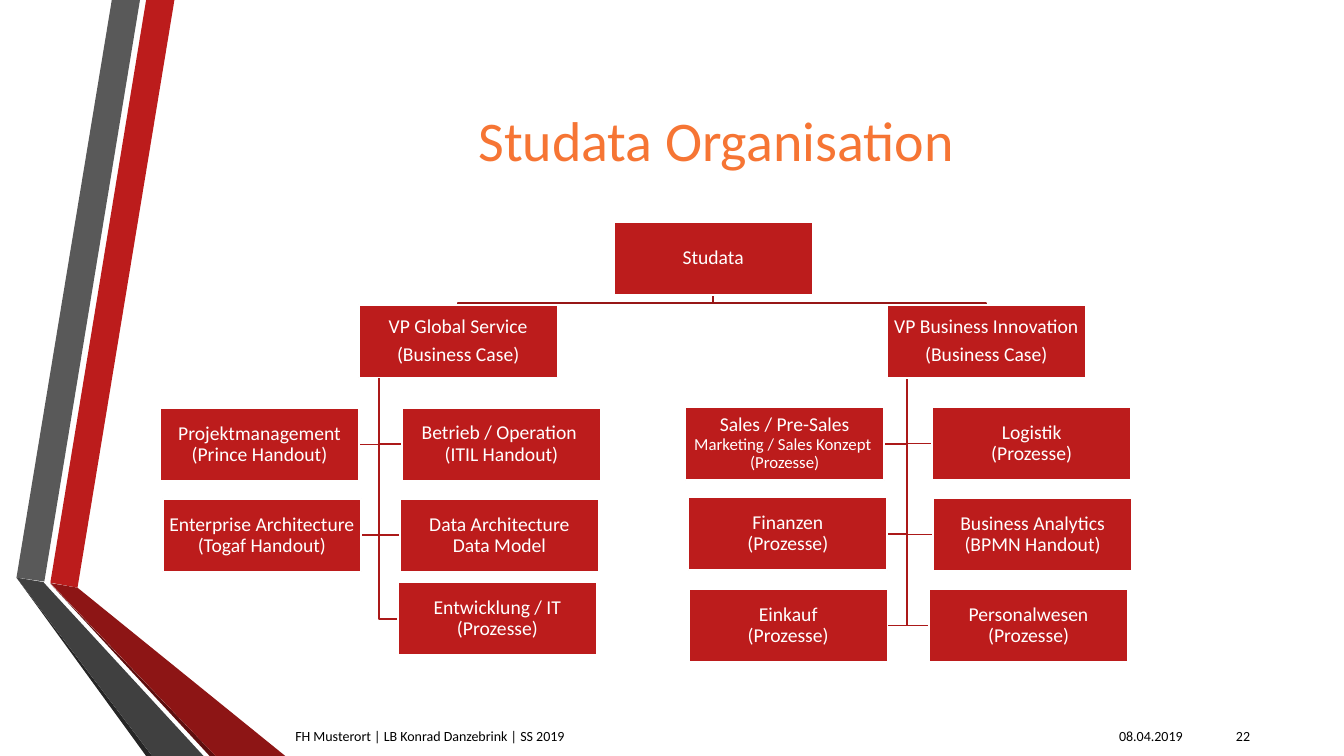
from dataclasses import dataclass

from pptx import Presentation
from pptx.dml.color import RGBColor
from pptx.enum.shapes import MSO_SHAPE
from pptx.enum.text import MSO_ANCHOR, PP_ALIGN
from pptx.util import Pt

RECTANGLE = MSO_SHAPE.RECTANGLE
MIDDLE = MSO_ANCHOR.MIDDLE
LEFT, CENTER, RIGHT = PP_ALIGN.LEFT, PP_ALIGN.CENTER, PP_ALIGN.RIGHT

FONT = "Calibri"
RED, WHITE, BLACK, ORANGE = "BC1C1C", "FFFFFF", "000000", "F67534"
BAR_RED, TRUNK_RED = "971616", "AB1919"
BOX_WIDTH, BOX_HEIGHT = 141.9, 51.9
LINE_WIDTH = 1.25
BAR_Y = 216.2

Point = tuple[float, float]


@dataclass
class Unit:
    left: float
    top: float
    lines: list[str]
    sizes: tuple[int, ...] = (14, 14)
    gap: float = 0

    @property
    def center_x(self) -> float:
        return self.left + BOX_WIDTH / 2

    @property
    def center_y(self) -> float:
        return self.top + BOX_HEIGHT / 2

    @property
    def bottom(self) -> float:
        return self.top + BOX_HEIGHT


@dataclass
class Branch:
    head: Unit
    trunk_x: float
    children: list[Unit]


@dataclass
class Ribbon:
    color: str
    points: list[Point]


@dataclass
class Footer:
    left: float
    width: float
    text: str
    align: PP_ALIGN


RIBBONS = [
    Ribbon(RED, [(36, 416.2), (55.4, 419.8), (124.6, 0), (104.4, 0)]),
    Ribbon("595959", [(100, 0), (79.9, 0), (11.8, 412.6), (31.7, 415.4)]),
    Ribbon("262626", [(11.8, 412.6), (104.4, 540), (108.7, 540)]),
    Ribbon("5E0E0E", [(36, 416.9), (149.8, 540), (154.1, 540)]),
    Ribbon("8D1515", [(36, 416.5), (154.1, 540), (203.8, 540), (55.4, 419.8)]),
    Ribbon("404040", [(145.4, 540), (34.6, 419.8), (31, 415.8), (11.8, 412.6), (108.7, 540)]),
]

ROOT = Unit(438.5, 158.6, ["Studata"])

BRANCHES = [
    Branch(
        Unit(256.4, 217.8, ["VP Global Service", "(Business Case)"], gap=4.9),
        270.7,
        [
            Unit(114.5, 291.6, ["Projektmanagement", "(Prince Handout)"]),
            Unit(287.3, 291.3, ["Betrieb / Operation ", "(ITIL Handout)"]),
            Unit(116.2, 356.4, ["Enterprise Architecture", "(Togaf Handout)"]),
            Unit(285.8, 356.4, ["Data Architecture", "Data Model"]),
            Unit(284.4, 416, ["Entwicklung / IT", "(Prozesse)"]),
        ],
    ),
    Branch(
        Unit(633.6, 218, ["VP Business Innovation", "(Business Case)"], gap=4.9),
        648,
        [
            Unit(489.6, 291, ["Sales / Pre-Sales", "Marketing / Sales Konzept ", "(Prozesse)"],
                 sizes=(14, 12, 12)),
            Unit(666, 290.9, ["Logistik", "(Prozesse)"]),
            Unit(491.8, 355.4, ["Finanzen", "(Prozesse)"]),
            Unit(666.7, 355.9, ["Business Analytics", "(BPMN Handout)"]),
            Unit(492.1, 420.8, ["Einkauf", "(Prozesse)"]),
            Unit(663.8, 420.9, ["Personalwesen", "(Prozesse)"]),
        ],
    ),
]

FOOTERS = [
    Footer(761.8, 90, "08.04.2019", RIGHT),
    Footer(203.8, 558, "FH Musterort | LB Konrad Danzebrink | SS 2019", LEFT),
    Footer(856.8, 43.2, "22", RIGHT),
]


def rgb(color: str) -> RGBColor:
    return RGBColor.from_string(color)


def format_paragraph(para, text: str, size: float, color: str, align: PP_ALIGN) -> None:
    para.text = text
    para.alignment = align
    para.font.name = FONT
    para.font.size = Pt(size)
    para.font.color.rgb = rgb(color)


def add_outline(page, points: list[Point], close: bool):
    corners = [(Pt(x), Pt(y)) for x, y in points]
    builder = page.shapes.build_freeform(*corners[0])
    builder.add_line_segments(corners[1:], close=close)
    shape = builder.convert_to_shape()
    shape.shadow.inherit = False
    return shape


def add_ribbon(page, ribbon: Ribbon) -> None:
    shape = add_outline(page, ribbon.points, close=True)
    shape.fill.solid()
    shape.fill.fore_color.rgb = rgb(ribbon.color)
    shape.line.fill.background()


def add_elbow(page, color: str, points: list[Point]) -> None:
    """Draw an open, angled line from a box to one below it."""
    shape = add_outline(page, points, close=False)
    shape.fill.background()
    shape.line.color.rgb = rgb(color)
    shape.line.width = Pt(LINE_WIDTH)


def add_title(page, text: str) -> None:
    title = page.shapes.title
    title.left, title.top, title.width, title.height = Pt(116.9), Pt(54), Pt(789.1), Pt(90)
    title.text_frame.vertical_anchor = MIDDLE
    format_paragraph(title.text_frame.paragraphs[0], text, 40, ORANGE, CENTER)


def add_footer(page, footer: Footer) -> None:
    box = page.shapes.add_textbox(Pt(footer.left), Pt(511.2), Pt(footer.width), Pt(28.8))
    frame = box.text_frame
    frame.word_wrap = True
    frame.vertical_anchor = MIDDLE
    format_paragraph(frame.paragraphs[0], footer.text, 10, BLACK, footer.align)


def add_unit(page, unit: Unit) -> None:
    box = page.shapes.add_shape(
        RECTANGLE, Pt(unit.left), Pt(unit.top), Pt(BOX_WIDTH), Pt(BOX_HEIGHT))
    box.shadow.inherit = False
    box.fill.solid()
    box.fill.fore_color.rgb = rgb(RED)
    box.line.color.rgb = rgb(WHITE)
    box.line.width = Pt(LINE_WIDTH)
    frame = box.text_frame
    frame.word_wrap = True
    frame.vertical_anchor = MIDDLE
    frame.margin_left = frame.margin_right = frame.margin_top = frame.margin_bottom = Pt(0.7)
    for index, (text, size) in enumerate(zip(unit.lines, unit.sizes)):
        para = frame.add_paragraph() if index else frame.paragraphs[0]
        format_paragraph(para, text, size, WHITE, CENTER)
        para.line_spacing = 0.9
        para.space_after = Pt(unit.gap)


def add_branch_lines(page, branch: Branch) -> None:
    head, trunk_x = branch.head, branch.trunk_x
    add_elbow(page, BAR_RED, [(ROOT.center_x, ROOT.bottom), (ROOT.center_x, BAR_Y),
                              (head.center_x, BAR_Y), (head.center_x, head.top)])
    for child in branch.children:
        side_x = child.left if child.left > trunk_x else child.left + BOX_WIDTH
        add_elbow(page, TRUNK_RED, [(trunk_x, head.bottom), (trunk_x, child.center_y),
                                    (side_x, child.center_y)])


def main() -> None:
    deck = Presentation()
    deck.slide_width, deck.slide_height = Pt(960), Pt(540)
    page = deck.slides.add_slide(deck.slide_layouts[5])
    for ribbon in RIBBONS:
        add_ribbon(page, ribbon)
    add_title(page, "Studata Organisation")
    for footer in FOOTERS:
        add_footer(page, footer)

    for branch in BRANCHES:
        add_branch_lines(page, branch)
    add_unit(page, ROOT)
    for branch in BRANCHES:
        for unit in [branch.head, *branch.children]:
            add_unit(page, unit)
    deck.save("out.pptx")


if __name__ == "__main__":
    main()
